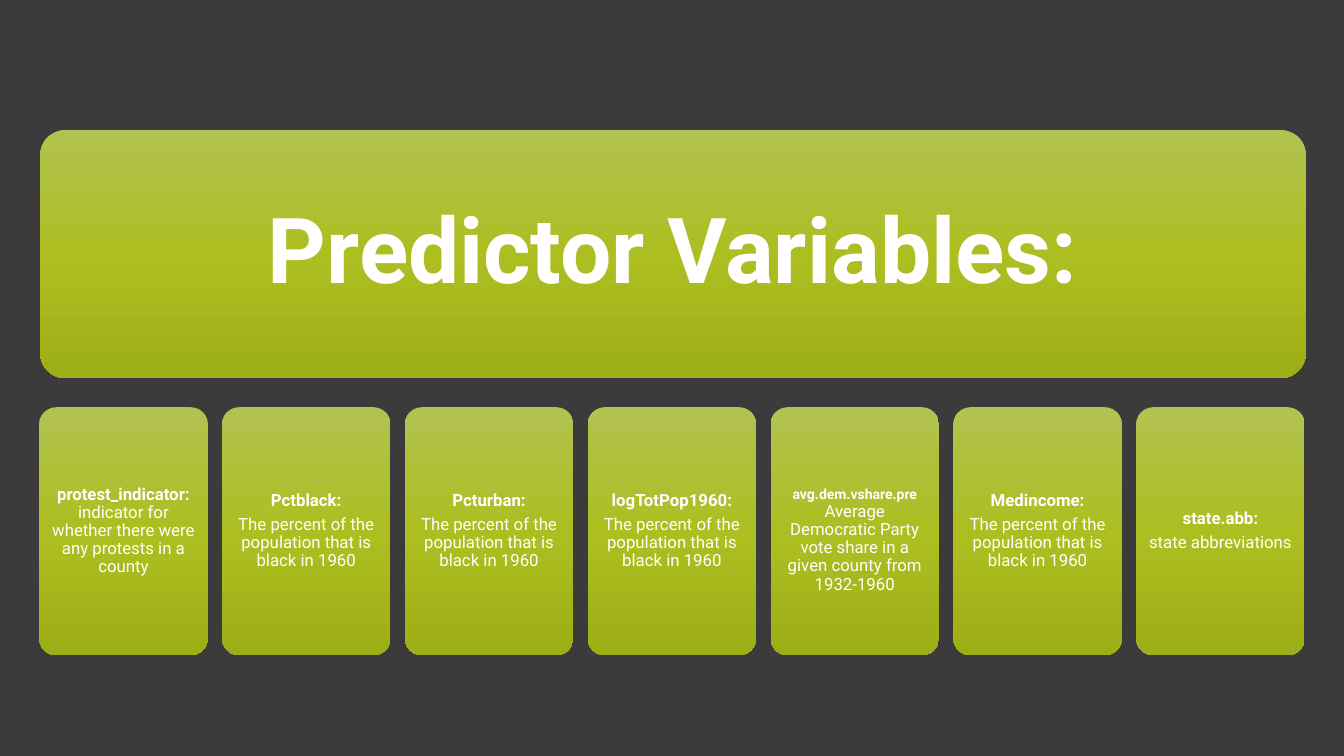
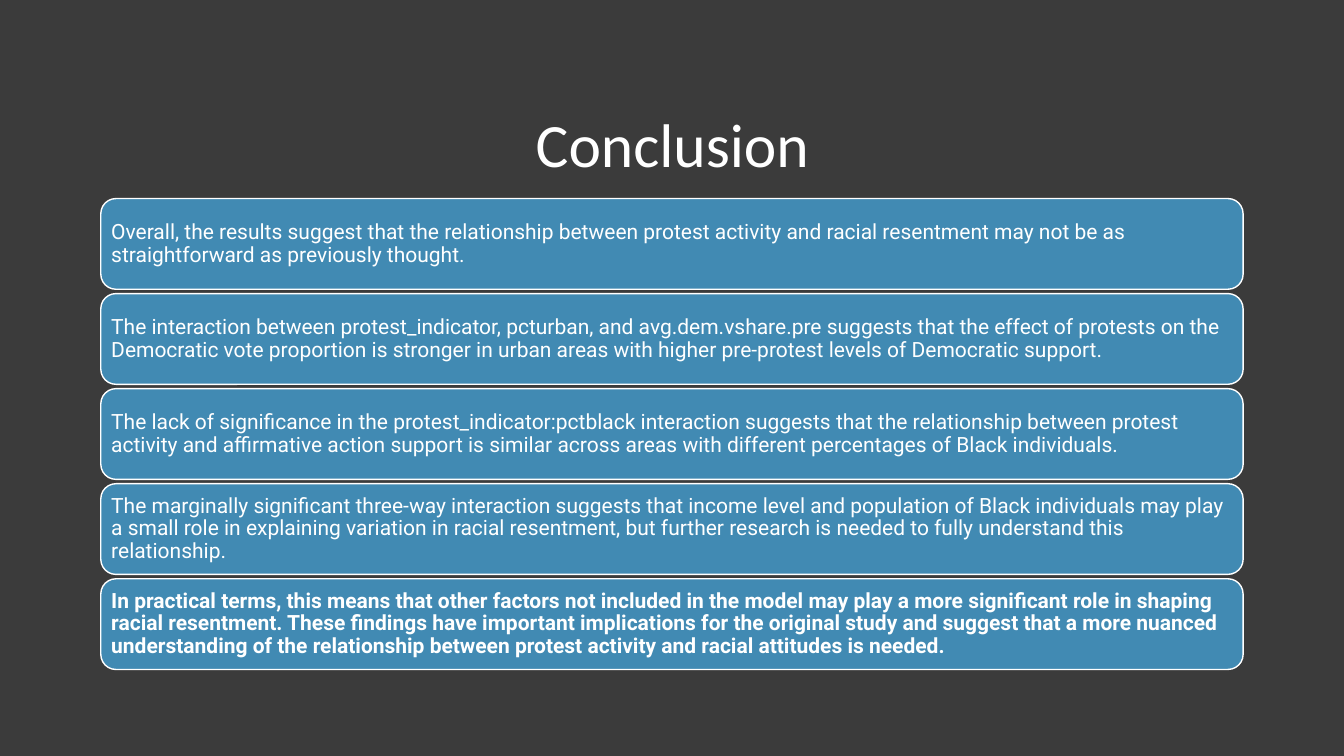
from copy import deepcopy
from dataclasses import dataclass

from pptx import Presentation
from pptx.dml.color import RGBColor
from pptx.enum.shapes import MSO_SHAPE
from pptx.enum.text import MSO_ANCHOR, PP_ALIGN
from pptx.oxml.ns import qn
from pptx.util import Inches, Pt

ROUND = MSO_SHAPE.ROUNDED_RECTANGLE
MIDDLE = MSO_ANCHOR.MIDDLE
LEFT, CENTER = PP_ALIGN.LEFT, PP_ALIGN.CENTER


@dataclass(frozen=True)
class Theme:
    back: str = "3B3B3B"
    text: str = "FFFFFF"
    blue: str = "418AB3"
    green: tuple = ("B2C251", "ACBE20", "9DAF16")
    head: str = "Calibri"
    body: str = "Roboto"
    banner: int = 65
    title: int = 44
    bar: int = 15
    card: int = 12
    small: int = 10


THEME = Theme()

SHARE = "The percent of the population that is black in 1960"

# Name, meaning, whether both share one paragraph
CARDS = [
    ("protest_indicator: ",
     "indicator for whether there were any protests in a county", True),
    ("Pctblack:", SHARE, False),
    ("Pcturban:", SHARE, False),
    ("logTotPop1960:", SHARE, False),
    ("avg.dem.vshare.pre ",
     "Average Democratic Party vote share in a given county from 1932-1960",
     True),
    ("Medincome:", SHARE, False),
    ("state.abb:", "state abbreviations", False),
]
LONG = "avg.dem.vshare.pre "  # set smaller and lower than its neighbours

POINTS = [
    "Overall, the results suggest that the relationship between protest "
    "activity and racial resentment may not be as straightforward as "
    "previously thought.",
    "The interaction between protest_indicator, pcturban, and "
    "avg.dem.vshare.pre suggests that the effect of protests on the "
    "Democratic vote proportion is stronger in urban areas with higher "
    "pre-protest levels of Democratic support.",
    "The lack of significance in the protest_indicator:pctblack interaction "
    "suggests that the relationship between protest activity and affirmative "
    "action support is similar across areas with different percentages of "
    "Black individuals.",
    "The marginally significant three-way interaction suggests that income "
    "level and population of Black individuals may play a small role in "
    "explaining variation in racial resentment, but further research is "
    "needed to fully understand this relationship.",
    "In practical terms, this means that other factors not included in the "
    "model may play a more significant role in shaping racial resentment. "
    "These findings have important implications for the original study and "
    "suggest that a more nuanced understanding of the relationship between "
    "protest activity and racial attitudes is needed.",
]


def color(code):
    return RGBColor.from_string(code)


def style(font, size, bold=False, name=THEME.body):
    font.name, font.size, font.bold = name, Pt(size), bold
    font.color.rgb = color(THEME.text)


def shade(shape):
    """Fill a shape with the green gradient, light at the top."""
    fill = shape.fill
    fill.gradient()
    fill.gradient_angle = 270
    stops = shape._element.spPr.find(f".//{qn('a:gsLst')}")
    stops.append(deepcopy(stops[-1]))
    for i, (stop, code) in enumerate(zip(fill.gradient_stops, THEME.green)):
        stop.position = i / 2
        stop.color.rgb = color(code)


def panel(slide, box, inset, adj=None):
    """Add a rounded box; return it with its text frame."""
    shape = slide.shapes.add_shape(ROUND, *map(Inches, box))
    shape.shadow.inherit = False
    if adj is not None:
        shape.adjustments[0] = adj
    frame = shape.text_frame
    frame.word_wrap, frame.vertical_anchor = True, MIDDLE
    frame.margin_left = frame.margin_right = Inches(inset)
    frame.margin_top = frame.margin_bottom = Inches(inset)
    return shape, frame


def green(slide, box, inset):
    shape, frame = panel(slide, box, inset, 0.1)
    shade(shape)
    shape.line.fill.background()
    return frame


def space(para, size, align):
    para.alignment, para.line_spacing = align, 0.9
    para.space_after = Pt(0.35 * size)


def write(para, text, size, align, bold=False):
    para.text = text
    space(para, size, align)
    style(para.font, size, bold)


def card(slide, box, name, text, joined):
    frame = green(slide, box, 0.05)
    size = THEME.card
    first = frame.paragraphs[0]
    if not joined:
        write(first, name, size, CENTER, True)
        write(frame.add_paragraph(), text, size, CENTER)
        return
    space(first, size, CENTER)
    lead, rest = first.add_run(), first.add_run()
    lead.text, rest.text = name, text
    style(lead.font, THEME.small if name == LONG else size, True)
    style(rest.font, size)
    if name == LONG:
        frame.margin_top = Inches(0.24)


def bar(slide, box, text, bold):
    shape, frame = panel(slide, box, 0.06)
    shape.fill.solid()
    shape.fill.fore_color.rgb = color(THEME.blue)
    shape.line.color.rgb = color(THEME.text)
    shape.line.width = Pt(1)
    write(frame.paragraphs[0], text, THEME.bar, LEFT, bold)


def title(slide, text):
    box = slide.shapes.add_textbox(*map(Inches, (1.71, 0.51, 9.92, 1.82)))
    frame = box.text_frame
    frame.word_wrap, frame.vertical_anchor = True, MIDDLE
    para = frame.paragraphs[0]
    para.text, para.alignment = text, CENTER
    style(para.font, THEME.title, name=THEME.head)


def predictors(slide):
    # Banner
    frame = green(slide, (0.4, 1.29, 12.55, 2.46), 0.27)
    write(frame.paragraphs[0], "Predictor Variables:", THEME.banner,
          CENTER, True)
    # Row of cards
    left, span, width = 0.39, 12.55, 1.67
    step = (span - width) / (len(CARDS) - 1)
    for i, item in enumerate(CARDS):
        card(slide, (left + i * step, 4.04, width, 2.46), *item)


def conclusion(slide):
    title(slide, "Conclusion")
    # Stack of bars, the last one stressed
    top, step = 1.97, 0.943
    for i, text in enumerate(POINTS):
        bar(slide, (1, top + i * step, 11.33, 0.9), text,
            i == len(POINTS) - 1)


def main():
    prs = Presentation()
    prs.slide_width, prs.slide_height = Inches(13.33), Inches(7.5)
    # Shared background
    fill = prs.slide_master.background.fill
    fill.solid()
    fill.fore_color.rgb = color(THEME.back)
    for build in (predictors, conclusion):
        build(prs.slides.add_slide(prs.slide_layouts[6]))
    prs.save("out.pptx")


if __name__ == "__main__":
    main()
